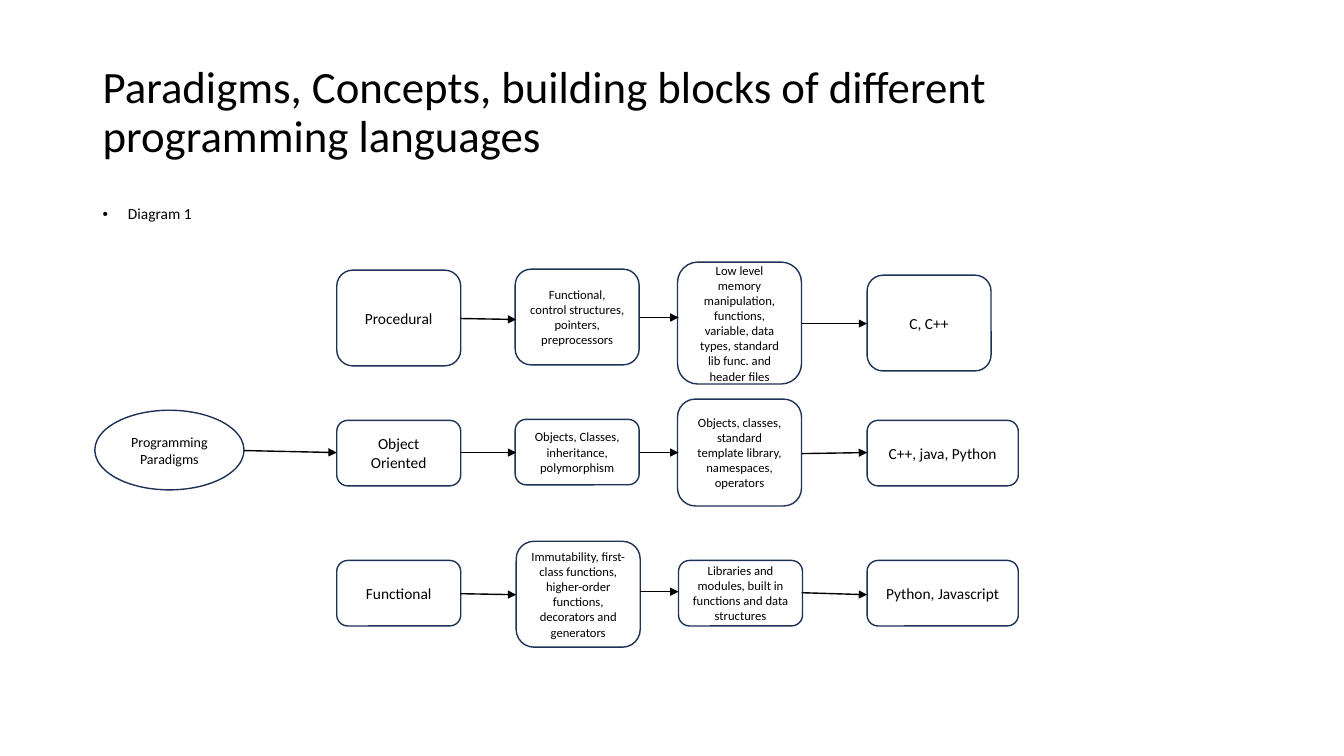
from dataclasses import dataclass

from lxml import etree
from pptx import Presentation
from pptx.dml.color import RGBColor
from pptx.enum.shapes import MSO_CONNECTOR, MSO_SHAPE
from pptx.enum.text import MSO_ANCHOR, PP_ALIGN
from pptx.oxml.ns import qn
from pptx.util import Inches, Pt

OVAL, ROUNDED = MSO_SHAPE.OVAL, MSO_SHAPE.ROUNDED_RECTANGLE
STRAIGHT = MSO_CONNECTOR.STRAIGHT
MIDDLE, TOP = MSO_ANCHOR.MIDDLE, MSO_ANCHOR.TOP
LEFT, CENTER = PP_ALIGN.LEFT, PP_ALIGN.CENTER


@dataclass(frozen=True)
class Theme:
    font: str = "Calibri"
    text: RGBColor = RGBColor(0x00, 0x00, 0x00)
    outline: RGBColor = RGBColor(0x1E, 0x32, 0x56)
    line_width: float = 1
    title: int = 32
    label: int = 11
    root: int = 10
    detail: int = 9


BOX_W = 1.23
ARROW_SPANS = [(4.57, 5.12), (6.35, 6.73), (7.95, 8.6)]

# Each row: boxes as (text, left, top, width, height), arrows as (start y, end y)
ROWS = [
    ([("Procedural", 3.34, 2.68, BOX_W, 0.95),
      ("Functional, control structures, pointers, preprocessors",
       5.11, 2.67, BOX_W, 0.95),
      ("Low level memory manipulation, functions, variable, data types, "
       "standard lib func. and header files", 6.72, 2.6, BOX_W, 1.21),
      ("C, C++", 8.6, 2.73, BOX_W, 0.95)],
     [(3.16, 3.17), (3.15, 3.15), (3.21, 3.21)]),
    ([("Object Oriented", 3.34, 4.17, BOX_W, 0.65),
      ("Objects, Classes, inheritance, polymorphism", 5.11, 4.16, BOX_W, 0.65),
      ("Objects, classes, standard template library, namespaces, operators",
       6.72, 3.96, BOX_W, 1.06),
      ("C++, java, Python", 8.6, 4.17, 1.5, 0.65)],
     [(4.49, 4.49), (4.49, 4.49), (4.5, 4.49)]),
    ([("Functional", 3.34, 5.56, BOX_W, 0.65),
      ("Immutability, first-class functions, higher-order functions, "
       "decorators and generators", 5.12, 5.37, BOX_W, 1.05),
      ("Libraries and modules, built in functions and data structures",
       6.73, 5.56, BOX_W, 0.65),
      ("Python, Javascript", 8.6, 5.56, 1.5, 0.65)],
     [(5.89, 5.9), (5.87, 5.87), (5.88, 5.9)]),
]


class Deck:
    def __init__(self, theme):
        self.theme = theme
        self.prs = Presentation()
        self.prs.slide_width, self.prs.slide_height = Inches(13.33), Inches(7.5)
        self.s = self.prs.slides.add_slide(self.prs.slide_layouts[6])

    def set_text(self, sp, text, size, anchor, align, **para_format):
        tf = sp.text_frame
        tf.word_wrap, tf.vertical_anchor = True, anchor
        p = tf.paragraphs[0]
        for name, value in {"alignment": align, **para_format}.items():
            setattr(p, name, value)
        r = p.add_run()
        r.text = text
        for name, value in {"name": self.theme.font, "size": Pt(size)}.items():
            setattr(r.font, name, value)
        r.font.color.rgb = self.theme.text
        return p

    def textbox(self, at, text, size, anchor, **para_format):
        sp = self.s.shapes.add_textbox(*map(Inches, at))
        p = self.set_text(sp, text, size, anchor, LEFT, line_spacing=0.9, **para_format)
        return sp, p

    def title(self, text, *at):
        sp, _ = self.textbox(at, text, self.theme.title, MIDDLE)
        sp.text_frame.margin_right = Inches(0.3)

    def bullet(self, text, *at):
        _, p = self.textbox(at, text, self.theme.label, TOP, space_before=Pt(10))
        pPr = p._p.get_or_add_pPr()
        pPr.set("marL", str(Inches(0.25)))
        pPr.set("indent", str(Inches(-0.25)))
        etree.SubElement(pPr, qn("a:buFont")).set("typeface", "Arial")
        etree.SubElement(pPr, qn("a:buChar")).set("char", "•")

    def node(self, kind, text, size, *at):
        sp = self.s.shapes.add_shape(kind, *map(Inches, at))
        sp.shadow.inherit = False
        sp.fill.background()
        sp.line.color.rgb = self.theme.outline
        sp.line.width = Pt(self.theme.line_width)
        self.set_text(sp, text, size, MIDDLE, CENTER)

    def arrow(self, *ends):
        c = self.s.shapes.add_connector(STRAIGHT, *map(Inches, ends))
        c.line.color.rgb = self.theme.text
        c.line.width = Pt(self.theme.line_width)
        ln = c._element.spPr.find(qn("a:ln"))
        etree.SubElement(ln, qn("a:tailEnd")).set("type", "triangle")
        etree.SubElement(c._element.spPr, qn("a:effectLst"))


def main():
    theme = Theme()
    deck = Deck(theme)
    deck.title("Paradigms, Concepts, building blocks of different programming languages",
               0.92, 0.4, 11.5, 1.45)
    deck.bullet("Diagram 1", 0.92, 2, 11.5, 4.76)

    deck.node(OVAL, "Programming Paradigms", theme.root, 0.94, 4.07, 1.48, 0.79)
    deck.arrow(2.42, 4.47, 3.34, 4.49)

    column_sizes = [theme.label, theme.detail, theme.detail, theme.label]
    for boxes, arrow_ys in ROWS:
        for (text, *at), size in zip(boxes, column_sizes):
            deck.node(ROUNDED, text, size, *at)
        for (x1, x2), (y1, y2) in zip(ARROW_SPANS, arrow_ys):
            deck.arrow(x1, y1, x2, y2)

    deck.prs.save("out.pptx")


if __name__ == "__main__":
    main()
